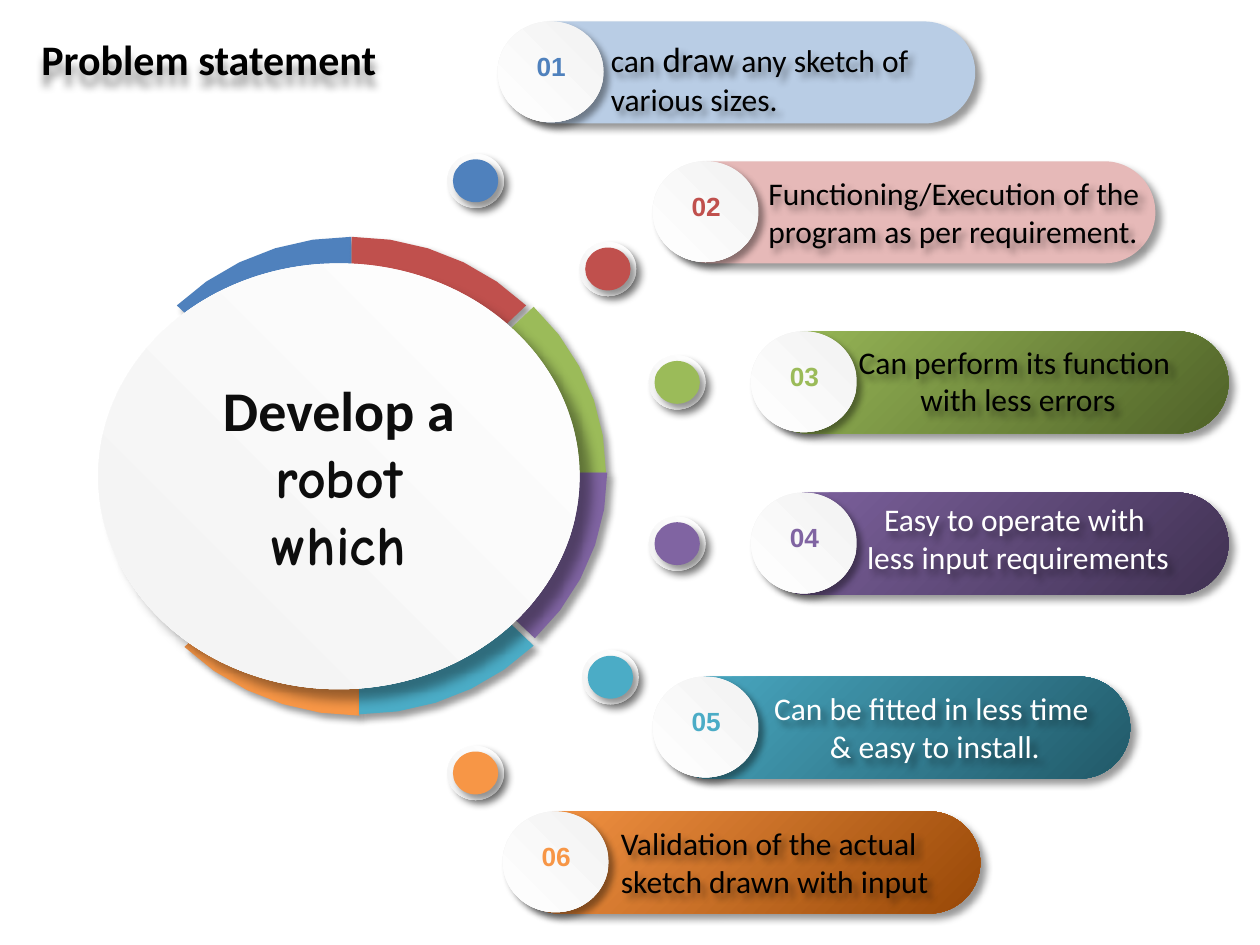
"""Build the problem statement slide: a segmented wheel and six numbered goals."""
from dataclasses import dataclass
from math import cos, radians, sin
from typing import NamedTuple, Optional

from lxml.etree import SubElement
from pptx import Presentation
from pptx.dml.color import RGBColor as RGB
from pptx.enum.shapes import MSO_CONNECTOR as CONNECTOR, MSO_SHAPE as SHAPE
from pptx.enum.text import MSO_ANCHOR as ANCHOR, PP_ALIGN as ALIGN
from pptx.oxml.ns import qn
from pptx.util import Inches, Pt

COLS, ROWS = 100, 75
CELL = Inches(10) // COLS


@dataclass(frozen=True)
class Theme:
    body: str = "Calibri"
    accent: str = "Comic Neue"
    digits: str = "Arial"
    hub_size: int = 32
    title_size: int = 24
    big_size: int = 20
    text_size: int = 18
    digit_size: int = 15
    black: str = "000000"
    ink: str = "0D0D0D"
    white: str = "FFFFFF"
    pearl: str = "F2F2F2"


class Box(NamedTuple):
    x: float
    y: float
    w: float
    h: float


class Shadow(NamedTuple):
    blur: float = 4
    dist: float = 4
    angle: int = 45
    alpha: int = 40


class Style(NamedTuple):
    size: int
    color: str
    font: str
    bold: bool = False
    align: ALIGN = ALIGN.CENTER


class Goal(NamedTuple):
    color: str
    fill: tuple[str, ...]
    pill: Box
    knob: tuple[float, float]
    axis: tuple[float, float]
    spoke: tuple[float, float, float, float]
    text: Box
    lines: tuple[str, ...]
    ink: str
    align: ALIGN = ALIGN.CENTER
    big: str = ""


T = Theme()
SOFT = Shadow()
GOALS = [
    Goal("4F81BD", ("B9CDE5",), Box(40, 1.7, 37.4, 8.1), (35.5, 12.2), (27.9, 37.4),
         (37.6, 13.9, 42.4, 8.3), Box(47.5, 2.5, 30, 7.4),
         ("can draw any sketch of various sizes.",), T.black, ALIGN.LEFT, "draw"),
    Goal("C0504D", ("E6B9B8",), Box(52.3, 12.8, 39.4, 8.1), (46, 19.2), (27.9, 37.4),
         (49, 20.7, 53.1, 17.1), Box(60, 13.3, 50, 7.1),
         ("Functioning/Execution of the", "program as per requirement."), T.black, ALIGN.LEFT),
    Goal("9BBB59", ("9BBB59", "4F6228"), Box(60.1, 26.3, 37.4, 8.1), (51.5, 28.2), (28.5, 37.5),
         (53.7, 30.3, 60.6, 30.3), Box(60.8, 26.7, 40, 7.1),
         ("Can perform its function ", "with less errors"), T.black),
    Goal("8064A2", ("8064A2", "403152"), Box(60.1, 39.1, 37.4, 8.1), (51.5, 41), (28.6, 37.5),
         (53.7, 43.2, 60.6, 43.2), Box(60.8, 39.2, 40, 7.1),
         ("Easy to operate with ", "less input requirements"), T.white),
    Goal("4BACC6", ("4BACC6", "215968"), Box(52.3, 53.7, 37.4, 8.1), (46.2, 51.6), (28.5, 38.1),
         (53.7, 58.5, 49.7, 54.9), Box(54.2, 54.2, 40, 7.1),
         ("Can be fitted in less time ", "& easy to install."), T.white),
    Goal("F79646", ("F79646", "984807"), Box(40.4, 64.4, 37.4, 8.1), (35.5, 59.2), (28.5, 38.2),
         (42.3, 66.9, 37.6, 61.3), Box(48.3, 64.9, 26.7, 7.1),
         ("Validation of the actual sketch drawn with input",), T.black, ALIGN.LEFT),
]


def emu(box: tuple[float, ...]) -> list[int]:
    """Turn grid units into slide lengths."""
    return [round(v * CELL) for v in box]


def cast(s, shadow: Optional[Shadow]) -> None:
    """Replace the inherited shadow of a shape."""
    s.shadow.inherit = False
    if shadow:
        effects = s.element.spPr.find(qn("a:effectLst"))
        outer = SubElement(effects, qn("a:outerShdw"), blurRad=str(Pt(shadow.blur)),
                           dist=str(Pt(shadow.dist)), dir=str(shadow.angle * 60000),
                           algn="tl", rotWithShape="0")
        color = SubElement(outer, qn("a:srgbClr"), val=T.black)
        SubElement(color, qn("a:alpha"), val=str(shadow.alpha * 1000))


def paint(s, fill: tuple[str, ...], angle: int = 45, shadow: Shadow = SOFT) -> None:
    """Fill a shape with one colour or a clockwise-angled gradient, without outline."""
    if len(fill) == 1:
        s.fill.solid()
        s.fill.fore_color.rgb = RGB.from_string(fill[0])
    else:
        s.fill.gradient()
        s.fill.gradient_angle = 360 - angle
        for stop, color in zip(s.fill.gradient_stops, fill):
            stop.color.rgb = RGB.from_string(color)
    s.line.fill.background()
    cast(s, shadow)


def add_shape(shapes, kind: SHAPE, box: Box, fill: tuple[str, ...], angle: int = 135,
              shadow: Shadow = SOFT):
    """Add a painted preset shape."""
    s = shapes.add_shape(kind, *emu(box))
    paint(s, fill, angle, shadow)
    return s


def set_style(p, style: Style) -> None:
    """Set the alignment and font of a paragraph."""
    p.alignment = style.align
    p.font.size, p.font.bold, p.font.name = Pt(style.size), style.bold, style.font
    p.font.color.rgb = RGB.from_string(style.color)


def add_text(shapes, box: Box, lines: tuple[str, ...], style: Style,
             shadow: Optional[Shadow] = None, big: str = "", wrap: bool = True) -> None:
    """Add a text box, enlarging the word given as big."""
    s = shapes.add_textbox(*emu(box))
    cast(s, shadow)
    tf = s.text_frame
    tf.word_wrap = wrap
    for i, line in enumerate(lines):
        p = tf.add_paragraph() if i else tf.paragraphs[0]
        set_style(p, style)
        for part in line.partition(big) if big else (line,):
            r = p.add_run()
            r.text = part
            if part == big:
                r.font.size = Pt(T.big_size)


def set_line(s, width: float) -> None:
    """Give a line or arc its white stroke."""
    s.line.color.rgb = RGB.from_string(T.white)
    s.line.width = Pt(width)


def add_spoke(shapes, goal: Goal) -> None:
    """Add the line from the knob to the pill of a goal."""
    s = shapes.add_connector(CONNECTOR.STRAIGHT, *emu(goal.spoke))
    set_line(s, 1)
    SubElement(s.element.spPr, qn("a:effectLst"))


def add_orbit(shapes) -> None:
    """Add the arc on which the knobs sit."""
    s = shapes.add_shape(SHAPE.ARC, *emu(Box(2.5, 12.6, 52.2, 49.6)))
    s.adjustments[0], s.adjustments[1] = 145.24 * 0.6, 74.04 * 0.6
    s.fill.background()
    set_line(s, 3)
    for end in ("a:headEnd", "a:tailEnd"):
        SubElement(s.line._get_or_add_ln(), qn(end), type="oval")
    cast(s, None)


def add_sector(shapes, index: int) -> None:
    """Add one eighth of the wheel, clockwise from the upper left."""
    goal = GOALS[index]
    cx, cy, rx, ry = emu((*goal.axis, 19.6, 18.6))
    angles = [radians(45 * index - 135 + 9 * step) for step in range(6)]
    builder = shapes.build_freeform(cx, cy)
    builder.add_line_segments([(cx + rx * cos(a), cy + ry * sin(a)) for a in angles])
    paint(builder.convert_to_shape(), (goal.color,))


def add_hub(shapes) -> None:
    """Add the disc in the middle of the wheel."""
    s = add_shape(shapes, SHAPE.OVAL, Box(7.8, 20.9, 38.2, 33.8), (T.white, T.pearl),
                  shadow=Shadow(6, 9, alpha=37))
    tf = s.text_frame
    tf.word_wrap, tf.vertical_anchor = True, ANCHOR.MIDDLE
    for p, parts in ((tf.paragraphs[0], ("Develop a ", "robot")), (tf.add_paragraph(), ("which",))):
        set_style(p, Style(T.hub_size, T.ink, T.accent, True))
        for part in parts:
            p.add_run().text = part
    tf.paragraphs[0].runs[0].font.name = T.body


def add_goal(shapes, number: int, goal: Goal) -> None:
    """Add the knob, pill, numbered ball and text of a goal."""
    x, y = goal.knob
    add_shape(shapes, SHAPE.OVAL, Box(x, y, 4.5, 4.3), (T.white, T.pearl))
    add_shape(shapes, SHAPE.OVAL, Box(x + 0.45, y + 0.45, 3.6, 3.4), (goal.color,))
    pill = add_shape(shapes, SHAPE.ROUNDED_RECTANGLE, goal.pill, goal.fill, 45)
    pill.adjustments[0] = 0.5
    x, y = goal.pill.x - 0.5, goal.pill.y
    add_shape(shapes, SHAPE.OVAL, Box(x, y, 8.4, 8), (T.pearl, T.white))
    add_text(shapes, Box(x + 1.1, y + 1.8, 6.3, 4.9), (f"{number:02}",),
             Style(T.digit_size, goal.color, T.digits, True), wrap=False)
    add_text(shapes, goal.text, goal.lines,
             Style(T.text_size, goal.ink, T.body, align=goal.align), SOFT, goal.big)


def main() -> None:
    """Build and save the slide."""
    prs = Presentation()
    prs.slide_width, prs.slide_height = COLS * CELL, ROWS * CELL
    shapes = prs.slides.add_slide(prs.slide_layouts[6]).shapes
    for goal in GOALS:
        add_spoke(shapes, goal)
    for index in (5, 0, 1, 2, 3, 4):
        add_sector(shapes, index)
    add_hub(shapes)
    add_orbit(shapes)
    for number, goal in enumerate(GOALS, 1):
        add_goal(shapes, number, goal)
    add_text(shapes, Box(2.3, 2.2, 31.7, 5), ("Problem statement",),
             Style(T.title_size, T.black, T.body, True, ALIGN.LEFT), Shadow(5, 6, 90))
    prs.save("out.pptx")


if __name__ == "__main__":
    main()
